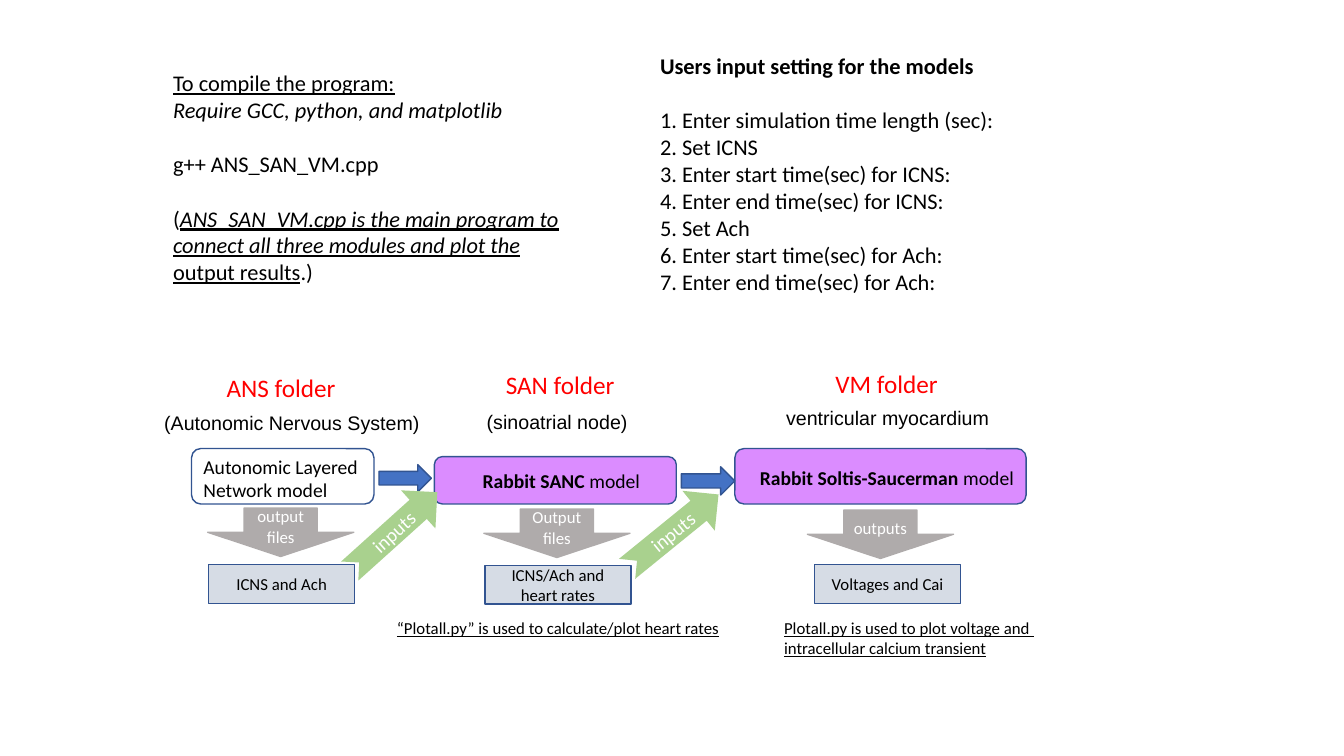
from pptx import Presentation
from pptx.util import Pt
from pptx.dml.color import RGBColor as RGB
from pptx.enum.shapes import MSO_SHAPE as Shape
from pptx.enum.text import PP_ALIGN as Align, MSO_ANCHOR as Anchor

INK = dict(black="000000", white="FFFFFF", red="FF0000", edge="325491", blue="4472C4",
           violet="DB8CFF", gray="AFABAB", pale="D6DCE5", green="A9D18E")
GAP = 19.5  # one line of 16 pt text

deck = Presentation()
deck.slide_width, deck.slide_height = Pt(960), Pt(540)
slide = deck.slides.add_slide(deck.slide_layouts[6])


def write(frame, lines, size, ink="black", font="Calibri", gaps=()):
    """Fill a frame; a line is a list of (text, flags) runs, flags from b, i, u."""
    for n, line in enumerate(lines):
        para = frame.paragraphs[0] if n == 0 else frame.add_paragraph()
        para.font.size, para.font.name = Pt(size), font
        para.font.color.rgb = RGB.from_string(INK[ink])
        if n in gaps:
            para.space_before = Pt(GAP)
        for text, flags in [(line, "")] if isinstance(line, str) else line:
            run = para.add_run()
            run.text = text
            for flag, name in zip("biu", ("bold", "italic", "underline")):
                if flag in flags:
                    setattr(run.font, name, True)


def draw(kind, box, fill=None, edge=None, lines=(), size=12, ink="black"):
    """Add a preset shape with centred text and return it."""
    shape = slide.shapes.add_shape(kind, *map(Pt, box))
    shape.shadow.inherit = False
    if fill:
        shape.fill.solid()
        shape.fill.fore_color.rgb = RGB.from_string(INK[fill])
    else:
        shape.fill.background()
    if edge:
        shape.line.color.rgb = RGB.from_string(INK[edge])
        shape.line.width = Pt(1)
    else:
        shape.line.fill.background()
    frame = shape.text_frame
    frame.vertical_anchor = Anchor.MIDDLE
    write(frame, lines, size, ink)
    for para in frame.paragraphs:
        para.alignment = Align.CENTER
    return shape


# Models and the arrows between them
for box, fill in [((136.8, 320.4, 130.3, 39.6), None),
                  ((310.3, 326.2, 172.8, 33.8), "violet"),
                  ((524.9, 320.4, 208.1, 39.6), "violet")]:
    draw(Shape.ROUNDED_RECTANGLE, box, fill, "edge")
for box in [(270.7, 331.9, 37.4, 19.4), (486.7, 333.4, 38.2, 20.2)]:
    draw(Shape.RIGHT_ARROW, box, "blue", "edge")

# Outputs of each model and the files they land in
for left, top, lines in [(148.3, 362.9, ["output", "files"]),
                         (345.6, 363.6, ["Output", "files"]),
                         (576.7, 364.3, ["outputs"])]:
    draw(Shape.DOWN_ARROW, (left, top, 104.4, 34.6), "gray", "gray", lines, ink="white")
for left, top, high, text in [(149, 403.2, 28.1, "ICNS and Ach"),
                              (346.3, 403.9, 27.4, "ICNS/Ach and heart rates"),
                              (581.8, 403.2, 28.1, "Voltages and Cai")]:
    draw(Shape.RECTANGLE, (left, top, 104.4, high), "pale", "edge", [text])

# Files that feed the next model
for left, turn in [(239, 318), (438.5, 320.9)]:
    arrow = draw(Shape.NOTCHED_RIGHT_ARROW, (left, 361.4, 84.2, 36.7), "green",
                 lines=["inputs"], size=14, ink="white")
    arrow.rotation = turn

# Texts: box, wrap, lines, size, colour, font, lines with a gap above
compile_text = [
    [("To compile the program:", "u")],
    [("Require GCC, python, and matplotlib", "i")],
    "g++ ANS_SAN_VM.cpp",
    [("(", ""), ("ANS_SAN_VM.cpp is the main program to connect all three modules "
                 "and plot the", "iu")],
    [("output results", "u"), (".)", "")]]
steps = ["Enter simulation time length (sec):", "Set ICNS",
         "Enter start time(sec) for ICNS:", "Enter end time(sec) for ICNS:",
         "Set Ach", "Enter start time(sec) for Ach:", "Enter end time(sec) for Ach:"]
input_text = [[("Users input setting for the models", "b")]]
input_text += [f"{n}. {step}" for n, step in enumerate(steps, 1)]

texts = [((116.6, 46.1, 309.6, 162), True, compile_text, 16, "black", "Calibri", (2, 3)),
         ((464.4, 33.8, 285.1, 181.4), True, input_text, 16, "black", "Calibri", (1,))]
for box, line in [((154.8, 262.1, 92.9, 28.8), "ANS folder"),
                  ((354.2, 260.6, 92.9, 28.8), "SAN folder"),
                  ((589.7, 259.9, 88.6, 28.8), "VM folder")]:
    texts.append((box, False, [line], 18, "red", "Calibri", ()))
for box, line in [((110.2, 290.2, 198, 24.5), "(Autonomic Nervous System)"),
                  ((340.6, 289.4, 115.2, 24.5), "(sinoatrial node)"),
                  ((554.4, 286.6, 159.8, 24.5), "ventricular myocardium")]:
    texts.append((box, False, [line], 14, "black", "Arial", ()))
for box, lines in [((138.2, 321.1, 126, 41), ["Autonomic Layered", "Network model"]),
                   ((337.7, 331.2, 127.4, 24.5), [[("Rabbit SANC ", "b"), ("model", "")]]),
                   ((535.7, 329, 197.3, 24.5),
                    [[("Rabbit Soltis-Saucerman ", "b"), ("model", "")]])]:
    texts.append((box, False, lines, 14, "black", "Calibri", ()))
for box, lines in [((276.5, 437.8, 249.1, 21.6),
                    ["“Plotall.py” is used to calculate/plot heart rates"]),
                   ((553, 437.8, 194.4, 36), ["Plotall.py is used to plot voltage and ",
                                              "intracellular calcium transient"])]:
    texts.append((box, False, [[(line, "u")] for line in lines], 12, "black", "Calibri", ()))

for box, wrap, *rest in texts:
    frame = slide.shapes.add_textbox(*map(Pt, box)).text_frame
    frame.word_wrap = wrap
    write(frame, *rest)

deck.save("out.pptx")
